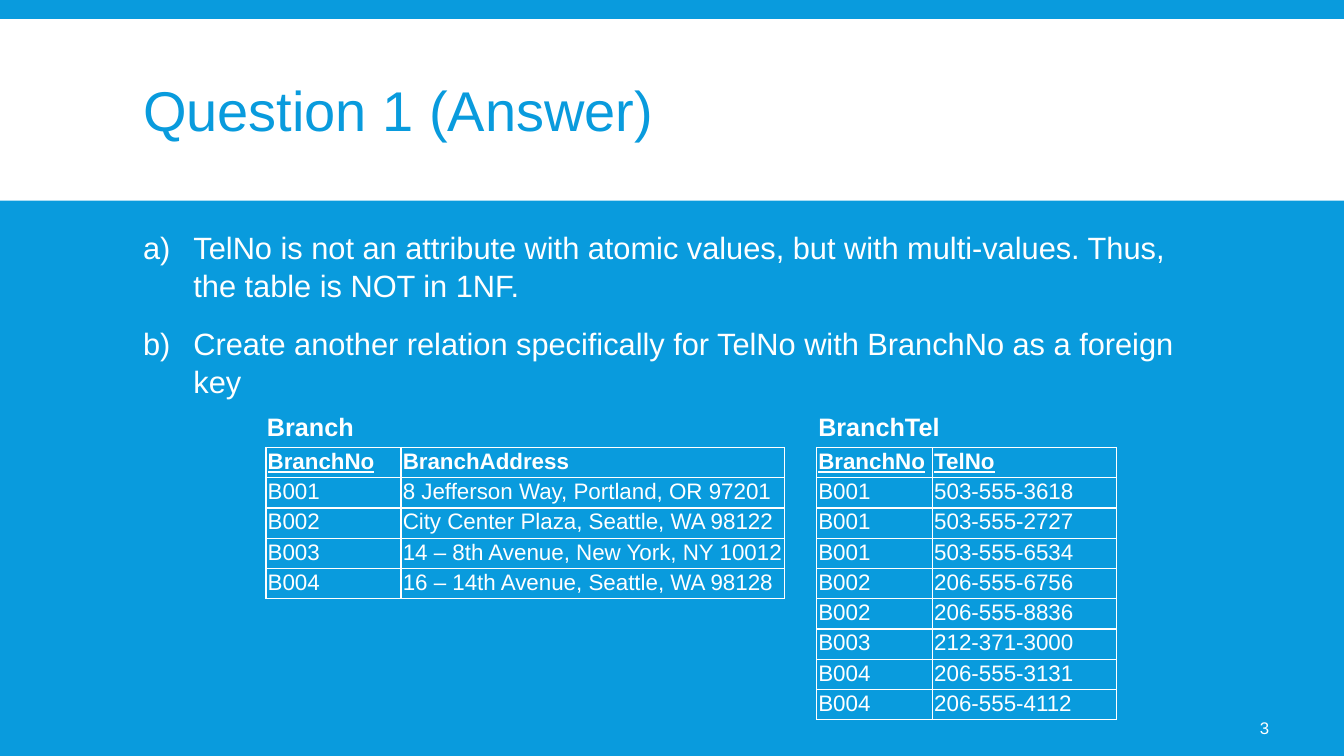
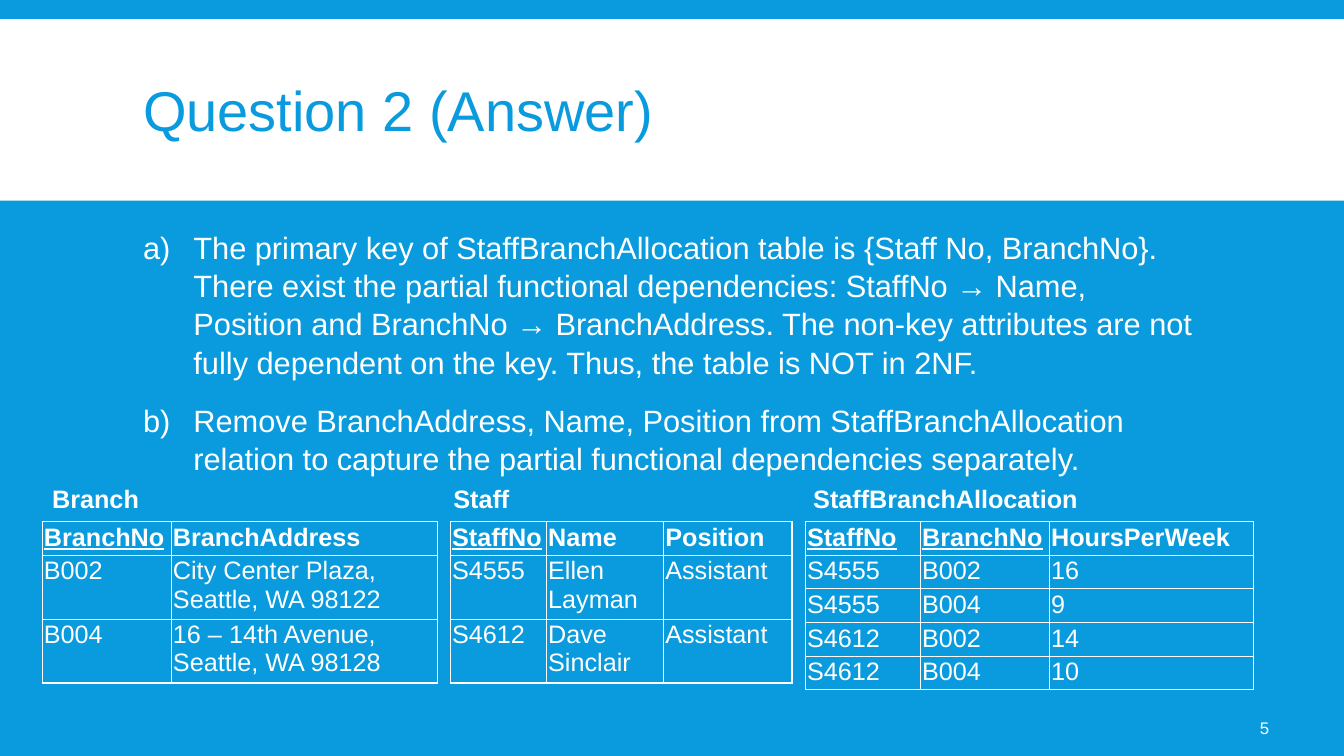
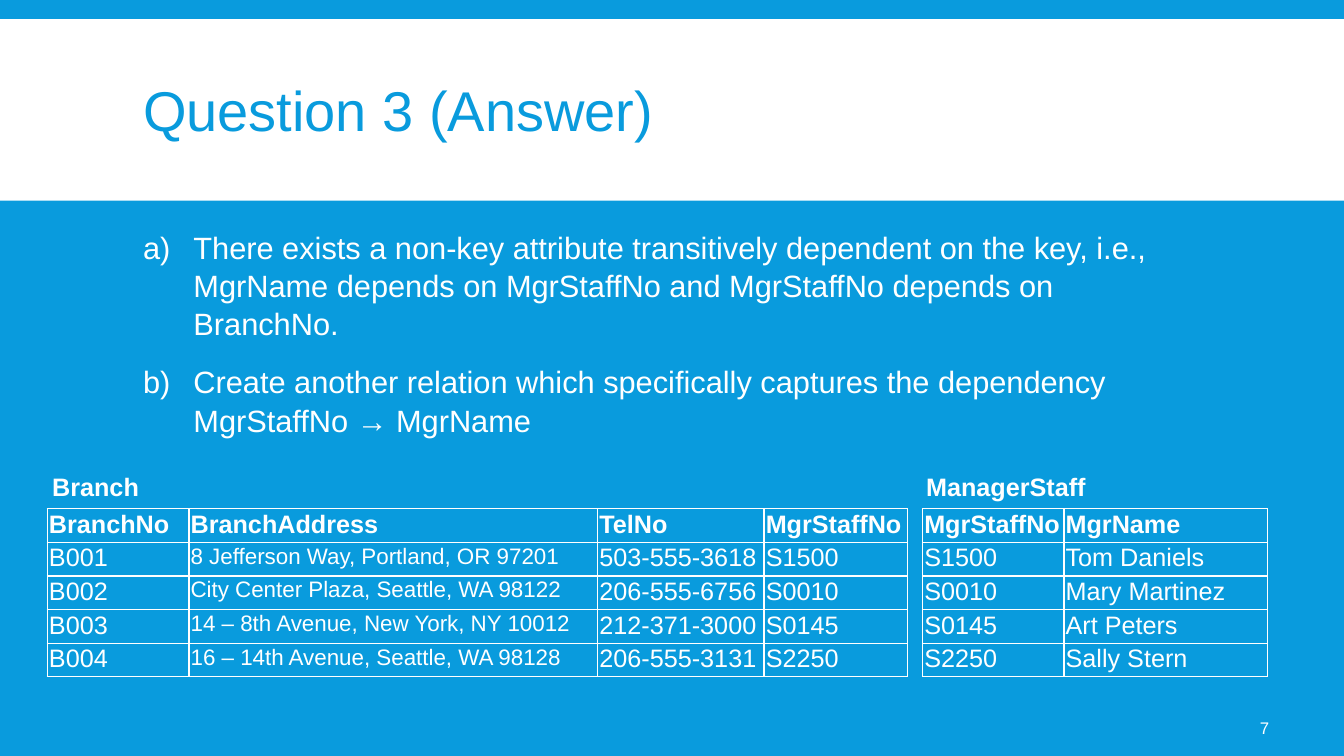
from itertools import product

from lxml.etree import SubElement
from pptx import Presentation
from pptx.dml.color import RGBColor
from pptx.enum.shapes import MSO_SHAPE
from pptx.enum.text import MSO_ANCHOR, MSO_AUTO_SIZE, PP_ALIGN
from pptx.oxml import parse_xml
from pptx.oxml.ns import nsdecls, qn
from pptx.util import Pt

COLORS = {"blue": "099BDD", "white": "FFFFFF"}
FONT = "Arial"
CELL_MARGIN = 1.2
LINE_FACTOR = 1.15

ANSWERS = [
    {
        "title": "Question 1 (Answer)",
        "number": "3",
        "points": [
            "TelNo is not an attribute with atomic values, but with multi-values. Thus, the table is NOT in 1NF.",
            "Create another relation specifically for TelNo with BranchNo as a foreign key",
        ],
        "size": 16,
        "label_top": 290.2,
        "table_top": 319.7,
        "relations": [
            {
                "name": "Branch", "label": (183.6, 77), "left": 190, "widths": (96.5, 273.9), "keys": 1,
                "rows": [
                    ("BranchNo", "BranchAddress"),
                    ("B001", "8 Jefferson Way, Portland, OR 97201"),
                    ("B002", "City Center Plaza, Seattle, WA 98122"),
                    ("B003", "14 – 8th Avenue, New York, NY 10012"),
                    ("B004", "16 – 14th Avenue, Seattle, WA 98128"),
                ],
            },
            {
                "name": "BranchTel", "label": (577.4, 102.2), "left": 583.3, "widths": (82.8, 131.6), "keys": 2,
                "rows": [
                    ("BranchNo", "TelNo"),
                    ("B001", "503-555-3618"),
                    ("B001", "503-555-2727"),
                    ("B001", "503-555-6534"),
                    ("B002", "206-555-6756"),
                    ("B002", "206-555-8836"),
                    ("B003", "212-371-3000"),
                    ("B004", "206-555-3131"),
                    ("B004", "206-555-4112"),
                ],
            },
        ],
    },
    {
        "title": "Question 2 (Answer)",
        "number": "5",
        "points": [
            "The primary key of StaffBranchAllocation table is {Staff No, BranchNo}. There exist the partial "
            "functional dependencies: StaffNo → Name, Position and BranchNo → BranchAddress. The non-key "
            "attributes are not fully dependent on the key. Thus, the table is NOT in 2NF.",
            "Remove BranchAddress, Name, Position from StaffBranchAllocation relation to capture the partial "
            "functional dependencies separately.",
        ],
        "size": 18,
        "label_top": 342,
        "table_top": 372.6,
        "relations": [
            {
                "name": "Branch", "label": (30.2, 77), "left": 30.2, "widths": (92.2, 190.1), "keys": 1,
                "rows": [
                    ("BranchNo", "BranchAddress"),
                    ("B002", "City Center Plaza, Seattle, WA 98122"),
                    ("B004", "16 – 14th Avenue, Seattle, WA 98128"),
                ],
            },
            {
                "name": "Staff", "label": (316.8, 54.7), "left": 321.8, "widths": (68.6, 83.7, 91.6), "keys": 1,
                "rows": [
                    ("StaffNo", "Name", "Position"),
                    ("S4555", "Ellen Layman", "Assistant"),
                    ("S4612", "Dave Sinclair", "Assistant"),
                ],
            },
            {
                "name": "StaffBranchAllocation", "label": (573.8, 205.2), "left": 575.3,
                "widths": (82.2, 92.2, 146), "keys": 2,
                "rows": [
                    ("StaffNo", "BranchNo", "HoursPerWeek"),
                    ("S4555", "B002", "16"),
                    ("S4555", "B004", "9"),
                    ("S4612", "B002", "14"),
                    ("S4612", "B004", "10"),
                ],
            },
        ],
    },
    {
        "title": "Question 3 (Answer)",
        "number": "7",
        "points": [
            "There exists a non-key attribute transitively dependent on the key, i.e., MgrName depends on "
            "MgrStaffNo and MgrStaffNo depends on BranchNo.",
            "Create another relation which specifically captures the dependency MgrStaffNo → MgrName",
        ],
        "size": 18,
        "label_top": 333.4,
        "table_top": 363.4,
        "relations": [
            {
                "name": "Branch", "label": (30.2, 77), "left": 33.8, "widths": (101.2, 292, 118.8, 102.4),
                "keys": 0, "column_sizes": {1: 16},
                "rows": [
                    ("BranchNo", "BranchAddress", "TelNo", "MgrStaffNo"),
                    ("B001", "8 Jefferson Way, Portland, OR 97201", "503-555-3618", "S1500"),
                    ("B002", "City Center Plaza, Seattle, WA 98122", "206-555-6756", "S0010"),
                    ("B003", "14 – 8th Avenue, New York, NY 10012", "212-371-3000", "S0145"),
                    ("B004", "16 – 14th Avenue, Seattle, WA 98128", "206-555-3131", "S2250"),
                ],
            },
            {
                "name": "ManagerStaff", "label": (654.5, 129.6), "left": 659, "widths": (101, 145.6), "keys": 0,
                "rows": [
                    ("MgrStaffNo", "MgrName"),
                    ("S1500", "Tom Daniels"),
                    ("S0010", "Mary Martinez"),
                    ("S0145", "Art Peters"),
                    ("S2250", "Sally Stern"),
                ],
            },
        ],
    },
]


class AnswerDeck:
    """Hold the shared style and the slide being built."""

    def __init__(self):
        self.deck = Presentation()
        self.assign(self.deck, {"slide_width": Pt(960), "slide_height": Pt(540)})
        self.paint(self.deck.slide_master.background.fill, "blue")
        self.page = None

    def assign(self, target, values):
        for name, value in values.items():
            setattr(target, name, value)

    def paint(self, fill, color):
        fill.solid()
        fill.fore_color.rgb = RGBColor.from_string(COLORS[color])

    def place(self, shape, left, top, width, height):
        self.assign(shape, {"left": Pt(left), "top": Pt(top), "width": Pt(width), "height": Pt(height)})

    def add_text(self, para, text, size, color="white", **style):
        span = para.add_run()
        span.text = text
        self.assign(span.font, {"name": FONT, "size": Pt(size), "bold": False, **style})
        span.font.color.rgb = RGBColor.from_string(COLORS[color])

    def new_page(self):
        self.page = self.deck.slides.add_slide(self.deck.slide_layouts[1])
        band = self.page.shapes.add_shape(MSO_SHAPE.RECTANGLE, 0, Pt(13.7), Pt(960), Pt(129.6))
        self.paint(band.fill, "white")
        band.line.fill.background()
        band.shadow.inherit = False
        self.page.shapes.title._element.addprevious(band._element)

    def title(self, text):
        box = self.page.shapes.title
        self.place(box, 95, 22.3, 770.4, 118.8)
        self.assign(box.text_frame, {"vertical_anchor": MSO_ANCHOR.MIDDLE, "auto_size": MSO_AUTO_SIZE.NONE})
        para = box.text_frame.paragraphs[0]
        self.assign(para, {"alignment": PP_ALIGN.LEFT, "line_spacing": 0.85})
        self.add_text(para, text, 40, "blue")

    def lettered_list(self, points):
        box = self.page.placeholders[1]
        self.place(box, 95, 158.4, 770.4, 331.2)
        frame = box.text_frame
        frame.auto_size = MSO_AUTO_SIZE.NONE
        for index, text in enumerate(points):
            para = frame.add_paragraph() if index else frame.paragraphs[0]
            self.assign(para, {
                "line_spacing": 1.04,
                "space_before": Pt(12 if index else 0),
                "space_after": Pt(2),
            })
            properties = para._p.get_or_add_pPr()
            properties.set("marL", str(Pt(36)))
            properties.set("indent", str(Pt(-36)))
            bullet_color = SubElement(properties, qn("a:buClr"))
            SubElement(bullet_color, qn("a:srgbClr"), val=COLORS["white"])
            SubElement(properties, qn("a:buFont"), typeface=FONT)
            SubElement(properties, qn("a:buAutoNum"), type="alphaLcParenR")
            self.add_text(para, text, 22)

    def page_number(self, text):
        box = self.page.shapes.add_textbox(Pt(839.5), Pt(505.4), Pt(74.2), Pt(28.8))
        self.assign(box.text_frame, {
            "word_wrap": True,
            "vertical_anchor": MSO_ANCHOR.MIDDLE,
            "margin_left": Pt(3.6),
        })
        para = box.text_frame.paragraphs[0]
        para.alignment = PP_ALIGN.RIGHT
        self.add_text(para, text, 12)

    def label(self, text, left, top, width):
        box = self.page.shapes.add_textbox(Pt(left), Pt(top), Pt(width), Pt(28.8))
        self.assign(box.text_frame, {"word_wrap": False, "auto_size": MSO_AUTO_SIZE.SHAPE_TO_FIT_TEXT})
        self.add_text(box.text_frame.paragraphs[0], text, 18, bold=True)

    def borders(self, cell):
        properties = cell._tc.get_or_add_tcPr()
        for index, side in enumerate("LRTB"):
            properties.insert(index, parse_xml(
                f'<a:ln{side} {nsdecls("a")} w="{Pt(1)}"><a:solidFill>'
                f'<a:srgbClr val="{COLORS["white"]}"/></a:solidFill></a:ln{side}>'
            ))

    def table(self, rows, widths, left, top, size, keys, column_sizes):
        row_height = size * LINE_FACTOR + 2 * CELL_MARGIN
        frame = self.page.shapes.add_table(
            len(rows), len(widths), Pt(left), Pt(top), Pt(sum(widths)), Pt(row_height * len(rows))
        )
        table = frame.table
        self.assign(table, {"first_row": False, "horz_banding": False})
        for column, width in zip(table.columns, widths):
            column.width = Pt(width)
        for row in table.rows:
            row.height = Pt(row_height)
        sides = ("left", "right", "top", "bottom")
        margins = {f"margin_{side}": Pt(CELL_MARGIN) for side in sides}
        for row, column in product(range(len(rows)), range(len(widths))):
            cell = table.cell(row, column)
            self.assign(cell, margins)
            cell.fill.background()
            self.borders(cell)
            header = row == 0
            cell_size = size if header else column_sizes.get(column, size)
            self.add_text(cell.text_frame.paragraphs[0], rows[row][column], cell_size,
                          bold=header, underline=header and column < keys)

    def answer(self, content):
        self.new_page()
        self.title(content["title"])
        self.lettered_list(content["points"])
        self.page_number(content["number"])
        for relation in content["relations"]:
            left, width = relation["label"]
            self.label(relation["name"], left, content["label_top"], width)
            self.table(relation["rows"], relation["widths"], relation["left"], content["table_top"],
                       content["size"], relation["keys"], relation.get("column_sizes", {}))


def main():
    builder = AnswerDeck()
    for content in ANSWERS:
        builder.answer(content)
    builder.deck.save("out.pptx")


if __name__ == "__main__":
    main()
